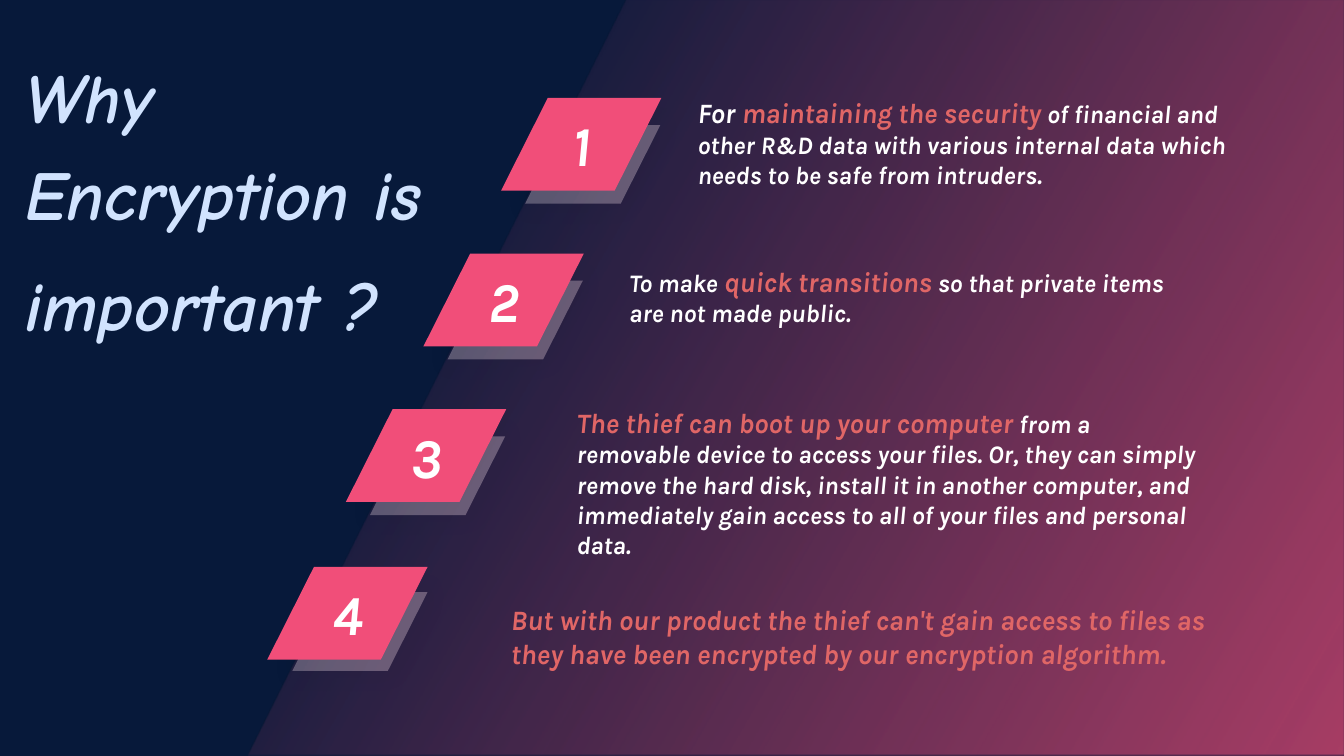
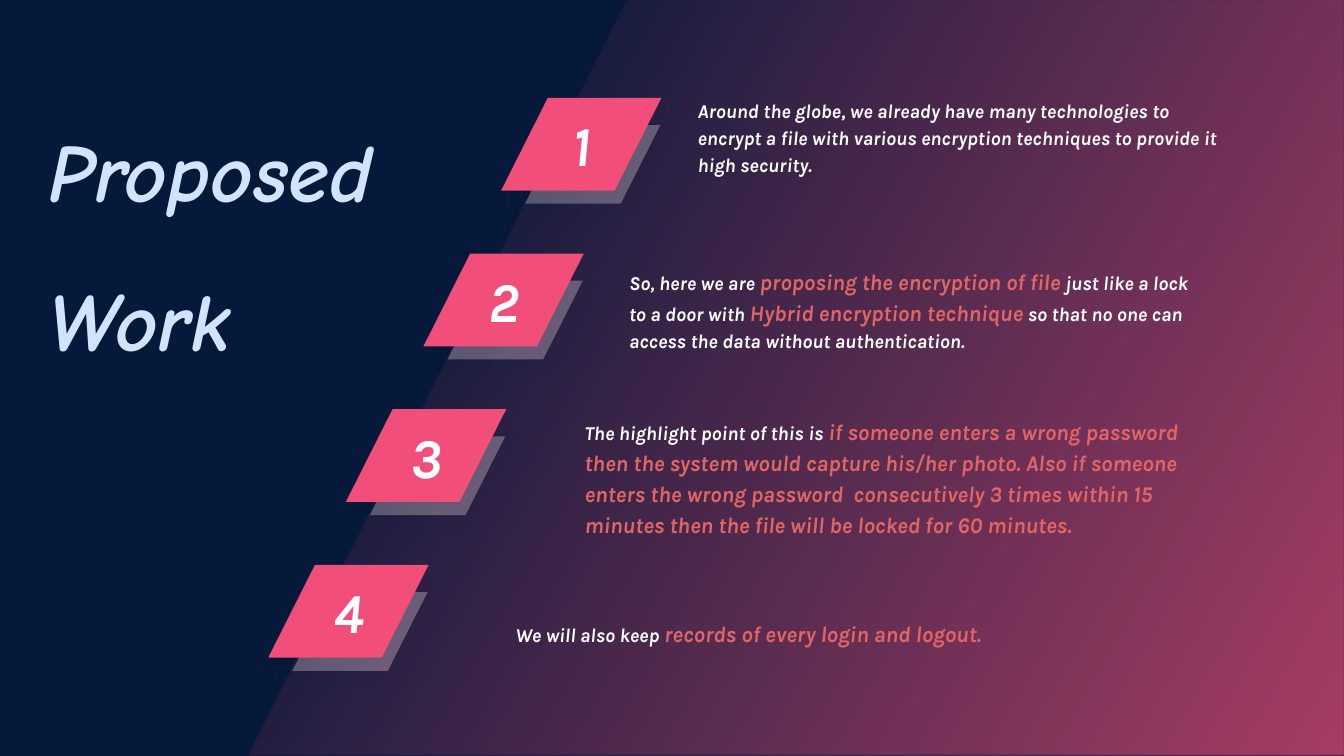
from dataclasses import dataclass

from lxml import etree
from pptx import Presentation
from pptx import util as u
from pptx.dml.color import RGBColor
from pptx.enum import shapes, text
from pptx.oxml import ns, parse_xml
from pptx.util import Inches

COLORS = {
    "navy": "07193A",
    "pink": "F14E79",
    "white": "FFFFFF",
    "title": "D1E3FE",
    "accent": "E06666",
}
TITLE_FONT, BODY_FONT = "Comic Neue", "Karla"
SLIDE_W, SLIDE_H = 13.33, 7.5
SLANT = 0.504

# Each step moves down and to the left along the edge of the panel
STEP_X, STEP_Y = -0.77, 1.545
TILE = (4.97, 0.97, 1.59, 0.92)
BACK_TILE = (5.21, 1.24, 1.34, 0.78)
PANEL = [(6.22, 0), (SLIDE_W, 0), (SLIDE_W, SLIDE_H), (2.47, SLIDE_H)]
PANEL_STOPS = [(0, "pink", 68), (84, "navy", 75), (100, "navy", 75)]
PANEL_ANGLE = 210


@dataclass
class Run:
    text: str
    size: float
    color: str = "white"


@dataclass
class Item:
    box: tuple[float, float, float, float]
    runs: list[Run]
    inset_y: float = 0.05


@dataclass
class Page:
    title: list[str]
    title_box: tuple[float, float, float, float]
    title_size: float
    title_spacing: float
    title_before: float
    body_spacing: float
    items: list[Item]
    last_shift: tuple[float, float] = (0, 0)


PAGES = [
    Page(
        ["Why Encryption is", "important ?"], (0.25, 0.41, 3.96, 4.4),
        title_size=50, title_spacing=1.15, title_before=10, body_spacing=1,
        last_shift=(-0.01, 0.02),
        items=[
            Item((6.82, 0.9, 5.56, 1.06), [
                Run("For", 20),
                Run(" maintaining the security", 20, "accent"),
                Run(" of financial and other R&D data with various internal data "
                    "which needs to be safe from intruders.", 18),
            ]),
            Item((6.14, 2.57, 5.82, 0.81), [
                Run("To make", 18),
                Run(" ", 20),
                Run("quick transitions", 20, "accent"),
                Run(" so that private items are not made public.", 18),
            ]),
            Item((5.62, 3.97, 6.34, 1.5), [
                Run("The thief can boot up your computer", 20, "accent"),
                Run(" from a removable device to access your files. Or, they can "
                    "simply remove the hard disk, install it in another computer, "
                    "and immediately gain access to all of your files and personal "
                    "data.", 18),
            ]),
            Item((4.97, 5.88, 7.46, 1.13), [
                Run("But with our product the thief can't gain access to files as "
                    "they have been encrypted by our encryption algorithm.",
                    20, "accent"),
            ], inset_y=0.1),
        ],
    ),
    Page(
        ["Proposed", "Work"], (0.48, 0.7, 3.96, 2.33),
        title_size=59, title_spacing=1.5, title_before=0, body_spacing=1.15,
        items=[
            Item((6.82, 0.9, 5.56, 1.06), [
                Run("Around the globe, we already have many technologies to "
                    "encrypt a file with various encryption techniques to provide "
                    "it high security.", 14),
            ]),
            Item((6.14, 2.57, 5.82, 0.81), [
                Run("So, here we are ", 14),
                Run("proposing the encryption of file", 16, "accent"),
                Run(" just like a lock to a door with ", 14),
                Run("Hybrid encryption technique", 16, "accent"),
                Run(" so that no one can access the data without authentication.",
                    14),
            ]),
            Item((5.7, 4.06, 6.34, 1.5), [
                Run("The highlight point of this is ", 14),
                Run("if someone enters a wrong password then the system would "
                    "capture his/her photo. Also if someone enters the wrong "
                    "password  consecutively 3 times within 15 minutes then the "
                    "file will be locked for 60 minutes.", 16, "accent"),
            ]),
            Item((4.97, 6.01, 7.46, 1.13), [
                Run(" We will also keep ", 14),
                Run("records of every login and logout.", 16, "accent"),
            ], inset_y=0.1),
        ],
    ),
]


def rgb(name: str) -> RGBColor:
    return RGBColor.from_string(COLORS[name])


def write(tf, paragraphs: list[list[Run]], *, font=BODY_FONT, spacing=1.0,
          before=0.0, align=text.PP_ALIGN.LEFT, anchor=text.MSO_ANCHOR.TOP,
          inset_x=0.1, inset_y=0.05) -> None:
    tf.word_wrap = True
    tf.vertical_anchor = anchor
    tf.margin_left = tf.margin_right = Inches(inset_x)
    tf.margin_top = tf.margin_bottom = Inches(inset_y)
    for i, runs in enumerate(paragraphs):
        p = tf.paragraphs[0] if i == 0 else tf.add_paragraph()
        p.alignment = align
        p.line_spacing = spacing
        p.space_before = u.Pt(before)
        for run in runs:
            r = p.add_run()
            r.text = run.text
            r.font.name = font
            r.font.size = u.Pt(run.size)
            r.font.bold = r.font.italic = True
            r.font.color.rgb = rgb(run.color)


def add_text(s, box: tuple[float, float, float, float],
             paragraphs: list[list[Run]], **fmt) -> None:
    sp = s.shapes.add_textbox(*map(Inches, box))
    write(sp.text_frame, paragraphs, **fmt)


def add_tile(s, base: tuple[float, float, float, float], step: int, color: str,
             shift: tuple[float, float] = (0, 0)):
    x, y, w, h = base
    sp = s.shapes.add_shape(
        shapes.MSO_SHAPE.PARALLELOGRAM,
        Inches(x + step * STEP_X + shift[0]), Inches(y + step * STEP_Y + shift[1]),
        Inches(w), Inches(h))
    sp.adjustments[0] = SLANT
    sp.fill.solid()
    sp.fill.fore_color.rgb = rgb(color)
    sp.line.fill.background()
    sp.shadow.inherit = False
    return sp


def add_glow(sp) -> None:
    """Soft centred shadow around a shape."""
    effects = sp._element.spPr.find(ns.qn("a:effectLst"))
    shadow = etree.SubElement(effects, ns.qn("a:outerShdw"),
                              blurRad=str(u.Pt(17)), dist="0", algn="ctr",
                              rotWithShape="0")
    color = etree.SubElement(shadow, ns.qn("a:srgbClr"), val="000000")
    etree.SubElement(color, ns.qn("a:alpha"), val="17000")


def add_panel(s) -> None:
    """Translucent gradient panel with a slanted left edge."""
    points = [(Inches(x), Inches(y)) for x, y in PANEL]
    builder = s.shapes.build_freeform(*points[0])
    builder.add_line_segments(points[1:], close=True)
    sp = builder.convert_to_shape()
    sp.line.fill.background()
    sp.shadow.inherit = False
    stops = "".join(
        f'<a:gs pos="{pos * 1000}"><a:srgbClr val="{COLORS[color]}">'
        f'<a:alpha val="{alpha * 1000}"/></a:srgbClr></a:gs>'
        for pos, color, alpha in PANEL_STOPS)
    grad = parse_xml(
        f'<a:gradFill {ns.nsdecls("a")} rotWithShape="1"><a:gsLst>{stops}</a:gsLst>'
        f'<a:lin ang="{PANEL_ANGLE * 60000}" scaled="0"/></a:gradFill>')
    sp._element.spPr.find(ns.qn("a:custGeom")).addnext(grad)


def build_page(prs, page: Page) -> None:
    s = prs.slides.add_slide(prs.slide_layouts[6])
    last = len(page.items) - 1

    # Back tiles lie under the panel, which tints them
    for i in range(last, -1, -1):
        add_glow(add_tile(s, BACK_TILE, i, "white"))

    # Title
    add_text(s, page.title_box,
             [[Run(line, page.title_size, "title")] for line in page.title],
             font=TITLE_FONT, spacing=page.title_spacing,
             before=page.title_before, inset_x=0, inset_y=0)
    add_panel(s)

    # Numbered tiles and their texts
    for i, item in enumerate(page.items):
        shift = page.last_shift if i == last else (0, 0)
        sp = add_tile(s, TILE, i, "pink", shift)
        write(sp.text_frame, [[Run(str(i + 1), 40)]],
              align=text.PP_ALIGN.CENTER, anchor=text.MSO_ANCHOR.MIDDLE)
        add_text(s, item.box, [item.runs], spacing=page.body_spacing,
                 inset_y=item.inset_y)


def main() -> None:
    prs = Presentation()
    prs.slide_width, prs.slide_height = Inches(SLIDE_W), Inches(SLIDE_H)
    # Shared background
    fill = prs.slide_master.background.fill
    fill.solid()
    fill.fore_color.rgb = rgb("navy")
    for page in PAGES:
        build_page(prs, page)
    prs.save("out.pptx")


if __name__ == "__main__":
    main()
